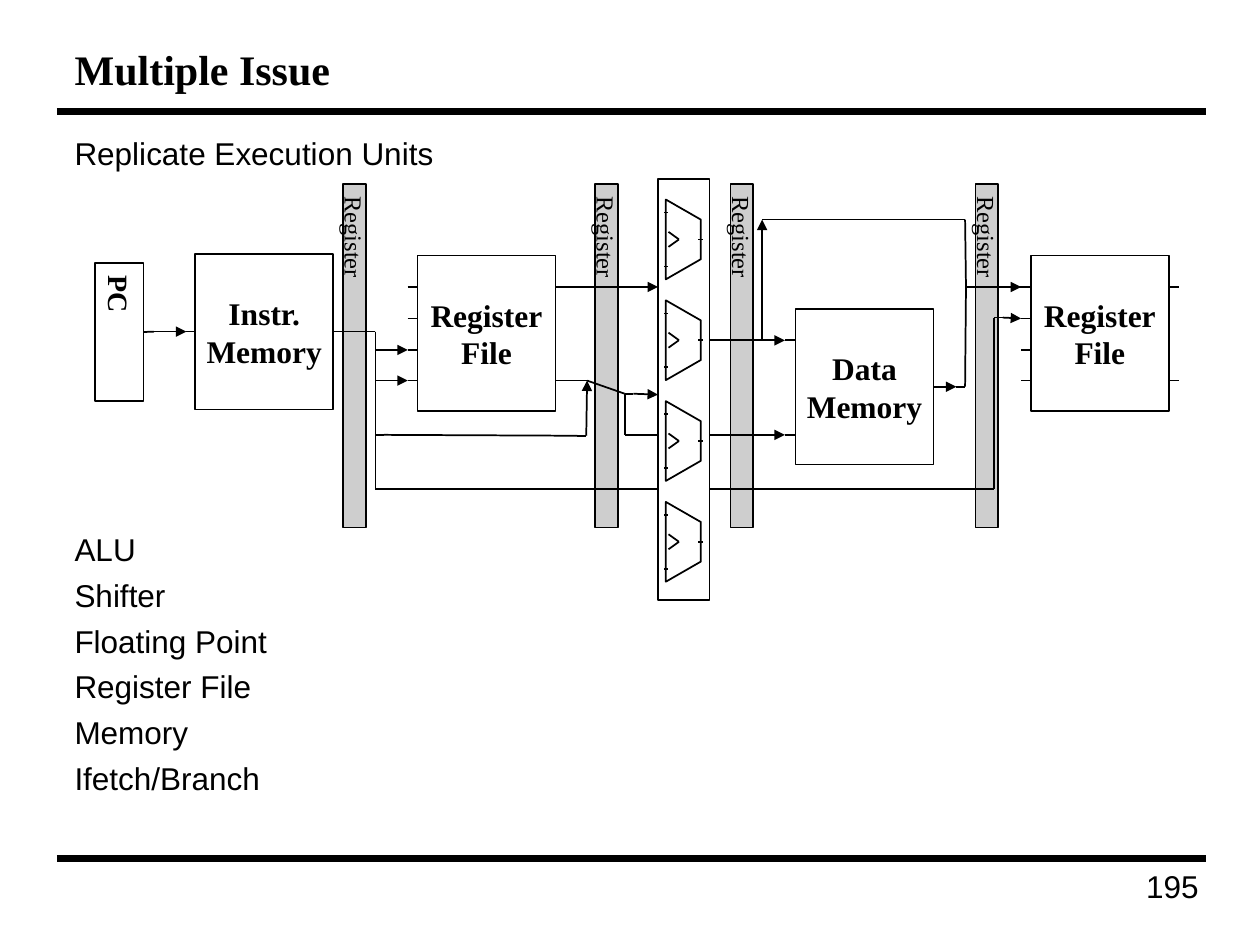
from pptx import Presentation
from pptx.dml.color import RGBColor
from pptx.enum import shapes as sh, text as tx
from pptx.oxml.ns import qn
from pptx.util import Pt
from lxml import etree

BLACK = RGBColor(0, 0, 0)
WHITE = RGBColor(255, 255, 255)
GREY = RGBColor(0xCE, 0xCE, 0xCE)
SERIF, SANS = "Times New Roman", "Arial"


def write(shape, content, font=SERIF, size=18, bold=False, align=tx.PP_ALIGN.LEFT,
          anchor=tx.MSO_ANCHOR.TOP, wrap=True, gap=0, vertical=False):
    frame = shape.text_frame
    frame.word_wrap = wrap
    frame.vertical_anchor = anchor
    if vertical:
        frame._txBody.bodyPr.set("vert", "eaVert")
    frame.text = content
    for i, paragraph in enumerate(frame.paragraphs):
        paragraph.alignment = align
        paragraph.space_before = Pt(gap if i else 0)
        paragraph.font.name = font
        paragraph.font.size = Pt(size)
        paragraph.font.bold = bold
        paragraph.font.color.rgb = BLACK


def wire(*points, arrow=None, start=None, end=None, color=BLACK, width=1):
    """Join the points with straight segments; arrow is the index of the arrowed one."""
    segments = []
    for i, (a, b) in enumerate(zip(points, points[1:])):
        segment = slide.shapes.add_connector(
            sh.MSO_CONNECTOR.STRAIGHT, *(Pt(v) for v in a + b))
        segment.line.color.rgb = color
        segment.line.width = Pt(width)
        if i == arrow:
            etree.SubElement(segment.line._get_or_add_ln(), qn("a:tailEnd"), type="triangle")
        etree.SubElement(segment._element.spPr, qn("a:effectLst"))
        segments.append(segment)
    if start:
        segments[0].begin_connect(*start)
    if end:
        segments[-1].end_connect(*end)


prs = Presentation()
prs.slide_width, prs.slide_height = Pt(720), Pt(540)
slide = prs.slides.add_slide(prs.slide_layouts[5])

# Title, rules and page number
for y in (63.5, 490.5):
    wire((32.5, y), (689, y), width=4)
title = slide.shapes.title
title.left, title.top, title.width, title.height = Pt(35.5), Pt(18), Pt(651), Pt(42)
write(title, "Multiple Issue", size=24, bold=True, anchor=tx.MSO_ANCHOR.MIDDLE)
page_number = slide.shapes.add_textbox(Pt(544.5), Pt(492), Pt(147.5), Pt(35))
write(page_number, "195", font=SANS, align=tx.PP_ALIGN.RIGHT)

# Body text above and below the diagram
units = "ALU\nShifter\nFloating Point\nRegister File\nMemory\nIfetch/Branch"
for content, top, height in (("Replicate Execution Units", 73, 28), (units, 299.5, 160)):
    body = slide.shapes.add_textbox(Pt(35.5), Pt(top), Pt(300), Pt(height))
    write(body, content, font=SANS, gap=4.5)

# Pipeline registers and datapath blocks
BAR = dict(size=14, vertical=True)
BLOCK = dict(bold=True)
blocks = []
for content, x, y, w, h, fill, style in (
        *(("Register", x, 105, 13, 196.5, GREY, BAR) for x in (196, 340, 417.5, 557.5)),
        ("PC", 54.5, 150.5, 27.5, 78.5, WHITE, dict(size=16, bold=True, vertical=True)),
        ("Instr.\nMemory", 111.5, 145, 79, 89, WHITE, BLOCK),
        ("Data\nMemory", 454.5, 176.5, 79, 89, WHITE, BLOCK),
        ("Register\nFile", 238.5, 146, 79, 89, WHITE, BLOCK),
        ("Register\nFile", 589, 146, 79, 89, WHITE, BLOCK)):
    block = slide.shapes.add_shape(sh.MSO_SHAPE.RECTANGLE, Pt(x), Pt(y), Pt(w), Pt(h))
    block.shadow.inherit = False
    block.fill.solid()
    block.fill.fore_color.rgb = fill
    block.line.color.rgb = BLACK
    block.line.width = Pt(1)
    write(block, content, align=tx.PP_ALIGN.CENTER, anchor=tx.MSO_ANCHOR.MIDDLE,
          wrap=False, **style)
    blocks.append(block)
pc, instr_memory, data_memory = blocks[4:7]

# Register file ports
for left in (238.5, 589):
    for y in (164, 182, 200, 217.5):
        wire((left - 5.5, y), (left, y))
    for y in (164, 217.5):
        wire((left + 79, y), (left + 84.5, y))

# Fetch and decode wires
wire((82, 189.5), (88, 189.5), (106.5, 189.5), (111.5, 189.5), arrow=1,
     start=(pc, 3), end=(instr_memory, 1))
wire((190.5, 189.5), (195, 189.5), (209, 189.5), (214.5, 189.5), start=(instr_memory, 3))
for y in (200, 217.5):
    wire((214.5, 189.5), (214.5, y), (219.5, y), (233, y), arrow=2)
wire((214.5, 189.5), (214.5, 248.5), (219.5, 248.5), (330, 249), (335, 249),
     (335.5, 217.5), arrow=4)

# Operand wires
wire((322.5, 164), (376, 164), arrow=0)
wire((322.5, 217.5), (330, 217.5), (335.5, 217.5), (357, 225), (362, 225),
     (376, 225.5), arrow=4)
wire((357, 225), (357, 248.5), (362, 248.5), (448.5, 248.5), (454.5, 248.5), arrow=2)

# Result and write-back wires
wire((399, 194.5), (430, 194.5), (435.5, 194.5), (448.5, 194.5), (454.5, 194.5), arrow=2)
wire((435.5, 194.5), (435.5, 125.5), (440.5, 125.5), (546.5, 125.5), (551.5, 125.5),
     (552, 164), (558, 164), (583.5, 164), arrow=0)
wire((533.5, 221), (538, 221), (546.5, 221), (551.5, 221), (552, 164), arrow=1,
     start=(data_memory, 3))
wire((552, 164), (583.5, 164), arrow=0)
wire((214.5, 248.5), (214.5, 279.5), (219.5, 279.5), (563, 279.5), (568, 279.5),
     (568, 181.5), (573, 181.5), (583.5, 182), arrow=6)

# Column of replicated execution units
column = slide.shapes.add_shape(
    sh.MSO_SHAPE.RECTANGLE, Pt(376), Pt(102.5), Pt(29.5), Pt(240.5))
outlines = [column]
for row in range(4):
    mid = 136.8 + 57.6 * row
    unit = slide.shapes.build_freeform(Pt(380.5), Pt(mid + 22.8))
    unit.add_line_segments([(Pt(x), Pt(mid + dy)) for x, dy in
                            ((400.5, 11.3), (400.5, -11.3), (380.5, -22.8))], close=True)
    outlines.append(unit.convert_to_shape())
    wire((382, mid - 4.3), (382, mid + 4.3), color=WHITE, width=2.25)
    wire((382, mid + 4.3), (388, mid), (382, mid - 4.3))
    wire((399, mid), (402, mid))
    for dy in (-15.3, 15.5):
        wire((379.5, mid + dy), (382, mid + dy))
for outline in outlines:
    outline.shadow.inherit = False
    outline.fill.solid()
    outline.fill.fore_color.rgb = WHITE
    outline.line.color.rgb = BLACK
    outline.line.width = Pt(1)

prs.save("out.pptx")
